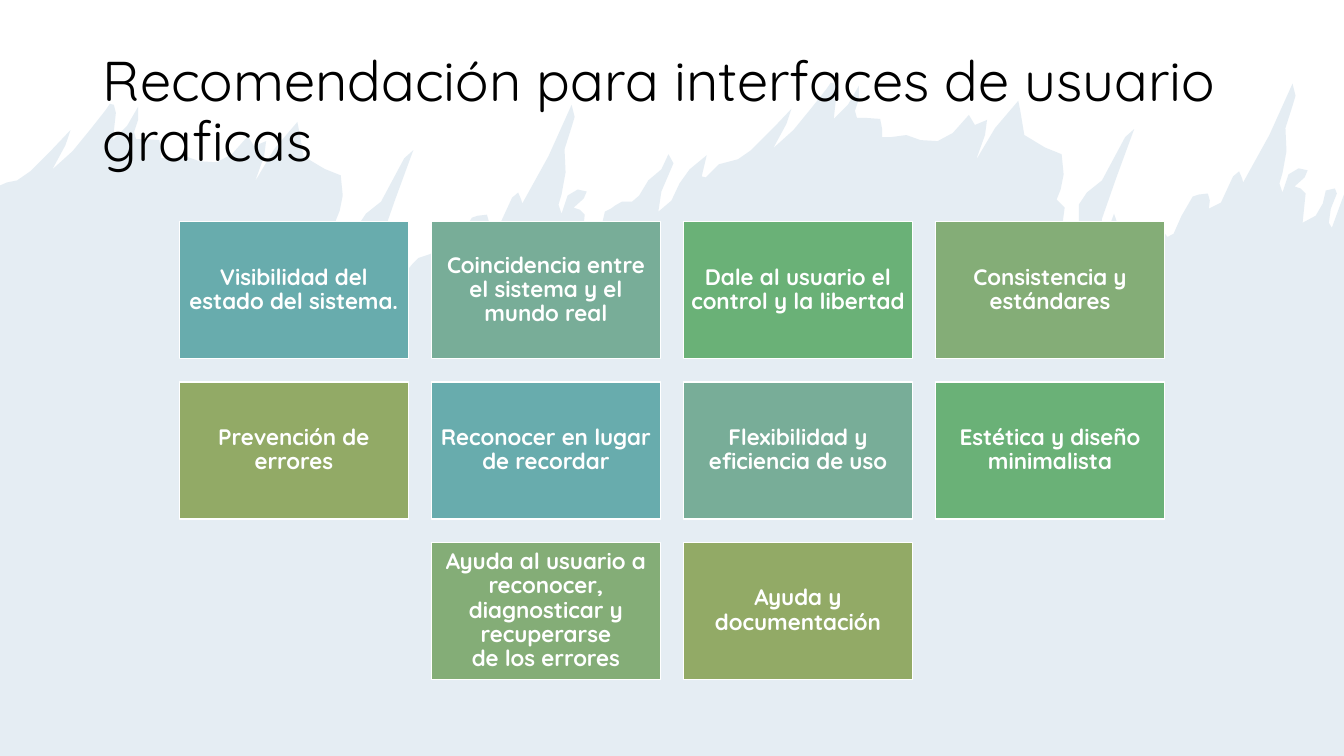
from dataclasses import dataclass

from lxml import etree
from pptx import Presentation
from pptx import util as u
from pptx.dml.color import RGBColor
from pptx.enum import shapes, text
from pptx.oxml import ns

PX = 9144  # EMU per px, 100 px to the inch
PAGE_WIDTH, PAGE_HEIGHT = 1333, 750
FONT = "Quicksand"

CARD_WIDTH, CARD_HEIGHT = 227, 136
COLUMN_PITCH, ROW_PITCH = 250, 159
GRID_TOP = 220
CARD_COLORS = ["68ACAD", "78AD98", "6AB177", "84AD77", "92AA66"]
CARD_ROWS = [
    [
        "Visibilidad del estado del sistema.",
        "Coincidencia entre el sistema y el mundo real",
        "Dale al usuario el control y la libertad",
        "Consistencia y estándares",
    ],
    [
        "Prevención de errores",
        "Reconocer en lugar de recordar",
        "Flexibilidad y eficiencia de uso",
        "Estética y diseño minimalista",
    ],
    [
        "Ayuda al usuario a reconocer, diagnosticar y recuperarse\vde los errores",
        "Ayuda y documentación",
    ],
]

# The splash appears twice along the top of the wave, the second time shifted.
SPLASH = [
    (30, 170), (52, 148), (70, 129), (65, 144), (52, 168), (72, 150), (90, 128),
    (105, 109), (109, 103), (113, 104), (115, 112), (112, 139), (126, 125),
    (137, 106), (137, 119), (133, 131), (135, 138), (144, 138), (158, 139),
    (160, 149), (160, 157), (169, 157), (184, 155), (198, 160), (215, 161),
    (230, 153), (246, 135), (252, 145), (264, 140), (262, 155), (253, 180),
    (272, 148), (295, 121), (297, 131), (301, 155), (321, 167), (323, 168),
    (338, 174), (340, 194), (337, 209), (333, 219), (341, 227), (339, 242),
    (342, 255), (355, 242), (355, 224), (363, 212), (378, 200), (401, 157),
    (410, 149), (392, 198), (378, 238), (376, 271), (390, 233), (393, 242),
    (387, 259), (388, 269), (397, 273), (400, 273), (409, 262), (415, 256),
    (427, 252), (436, 240), (439, 251), (443, 256), (449, 253), (457, 235),
    (468, 216), (474, 214), (483, 213), (485, 220), (484, 228), (496, 222),
    (508, 196), (514, 191), (517, 198), (518, 202), (544, 155), (567, 104),
    (570, 116), (567, 126), (560, 148), (561, 171), (557, 193), (554, 203),
    (557, 212), (563, 194), (573, 188), (582, 190), (579, 197), (569, 206),
    (575, 208), (580, 213), (577, 242), (590, 235), (597, 223), (600, 210),
]
SPLASH_SHIFT = (715, -21)
BRIDGE = [
    (606, 207), (610, 204), (617, 200), (627, 200), (634, 194), (643, 179),
    (656, 168), (663, 153), (668, 162), (656, 190), (653, 210), (666, 199),
    (674, 182), (684, 168), (701, 154), (696, 175), (700, 176), (713, 163),
    (732, 158),
]
RIGHT_END = [(1324, 187), (1326, 192), (1320, 207), (1318, 221), (1321, 226), (1333, 193)]


@dataclass(frozen=True)
class Card:
    left: int
    top: int
    label: str
    color: str


def rgb(color: str) -> RGBColor:
    return RGBColor.from_string(color)


def px(length: int) -> u.Emu:
    return u.Emu(length * PX)


def place_cards() -> list[Card]:
    """Centre each row on the page and cycle the colours through all cards."""
    cards = []
    for row, labels in enumerate(CARD_ROWS):
        row_width = (len(labels) - 1) * COLUMN_PITCH + CARD_WIDTH
        left = (PAGE_WIDTH - row_width) // 2
        for column, label in enumerate(labels):
            color = CARD_COLORS[len(cards) % len(CARD_COLORS)]
            cards.append(Card(left + column * COLUMN_PITCH, GRID_TOP + row * ROW_PITCH, label, color))
    return cards


def format_text(frame, content: str, frame_format: dict, para_format: dict, font_format: dict, color: str) -> None:
    for name, value in frame_format.items():
        setattr(frame, name, value)
    para = frame.paragraphs[0]
    para.text = content
    for name, value in para_format.items():
        setattr(para, name, value)
    for span in para.runs:
        for name, value in font_format.items():
            setattr(span.font, name, value)
        span.font.color.rgb = rgb(color)


def draw_wave(page) -> None:
    shift_x, shift_y = SPLASH_SHIFT
    second_splash = [(x + shift_x, y + shift_y) for x, y in SPLASH]
    outline = [
        (0, 184), (7, 181), (17, 179), *SPLASH, *BRIDGE, *second_splash, *RIGHT_END,
        (PAGE_WIDTH, PAGE_HEIGHT), (0, PAGE_HEIGHT),
    ]
    builder = page.shapes.build_freeform(*outline[0], scale=PX)
    builder.add_line_segments(outline[1:], close=True)
    wave = builder.convert_to_shape()
    wave.shadow.inherit = False
    wave.line.fill.background()
    wave.fill.solid()
    wave.fill.fore_color.rgb = rgb("7DA7C7")
    color_node = wave.fill._xPr.find(".//" + ns.qn("a:srgbClr"))
    etree.SubElement(color_node, ns.qn("a:alpha"), val="20000")


def draw_title(page) -> None:
    title = page.shapes.title
    title.left, title.top, title.width, title.height = map(px, (92, 40, 1150, 145))
    format_text(
        title.text_frame,
        "Recomendación para interfaces de usuario graficas",
        {"word_wrap": True, "auto_size": text.MSO_AUTO_SIZE.NONE, "vertical_anchor": text.MSO_ANCHOR.MIDDLE},
        {"alignment": text.PP_ALIGN.LEFT, "line_spacing": 0.9},
        {"name": FONT, "size": u.Pt(40)},
        "000000",
    )


def draw_card(page, card: Card) -> None:
    box = page.shapes.add_shape(
        shapes.MSO_SHAPE.RECTANGLE, *map(px, (card.left, card.top, CARD_WIDTH, CARD_HEIGHT))
    )
    box.shadow.inherit = False
    box.fill.solid()
    box.fill.fore_color.rgb = rgb(card.color)
    box.line.color.rgb = rgb("FFFFFF")
    box.line.width = u.Pt(1)
    margins = {f"margin_{side}": px(7) for side in ("left", "top", "right", "bottom")}
    format_text(
        box.text_frame,
        card.label,
        {"word_wrap": True, "vertical_anchor": text.MSO_ANCHOR.MIDDLE, **margins},
        {"alignment": text.PP_ALIGN.CENTER, "line_spacing": 0.9},
        {"name": FONT, "size": u.Pt(16), "bold": True},
        "FFFFFF",
    )


def main() -> None:
    deck = Presentation()
    deck.slide_width, deck.slide_height = px(PAGE_WIDTH), px(PAGE_HEIGHT)
    title_only = deck.slide_layouts.get_by_name("Title Only")
    page = deck.slides.add_slide(title_only)
    page.background.fill.solid()
    page.background.fill.fore_color.rgb = rgb("FFFFFF")
    draw_wave(page)
    title = page.shapes.title
    page.shapes._spTree.append(title._element)  # bring the title in front of the wave
    draw_title(page)
    for card in place_cards():
        draw_card(page, card)
    deck.save("out.pptx")


if __name__ == "__main__":
    main()
